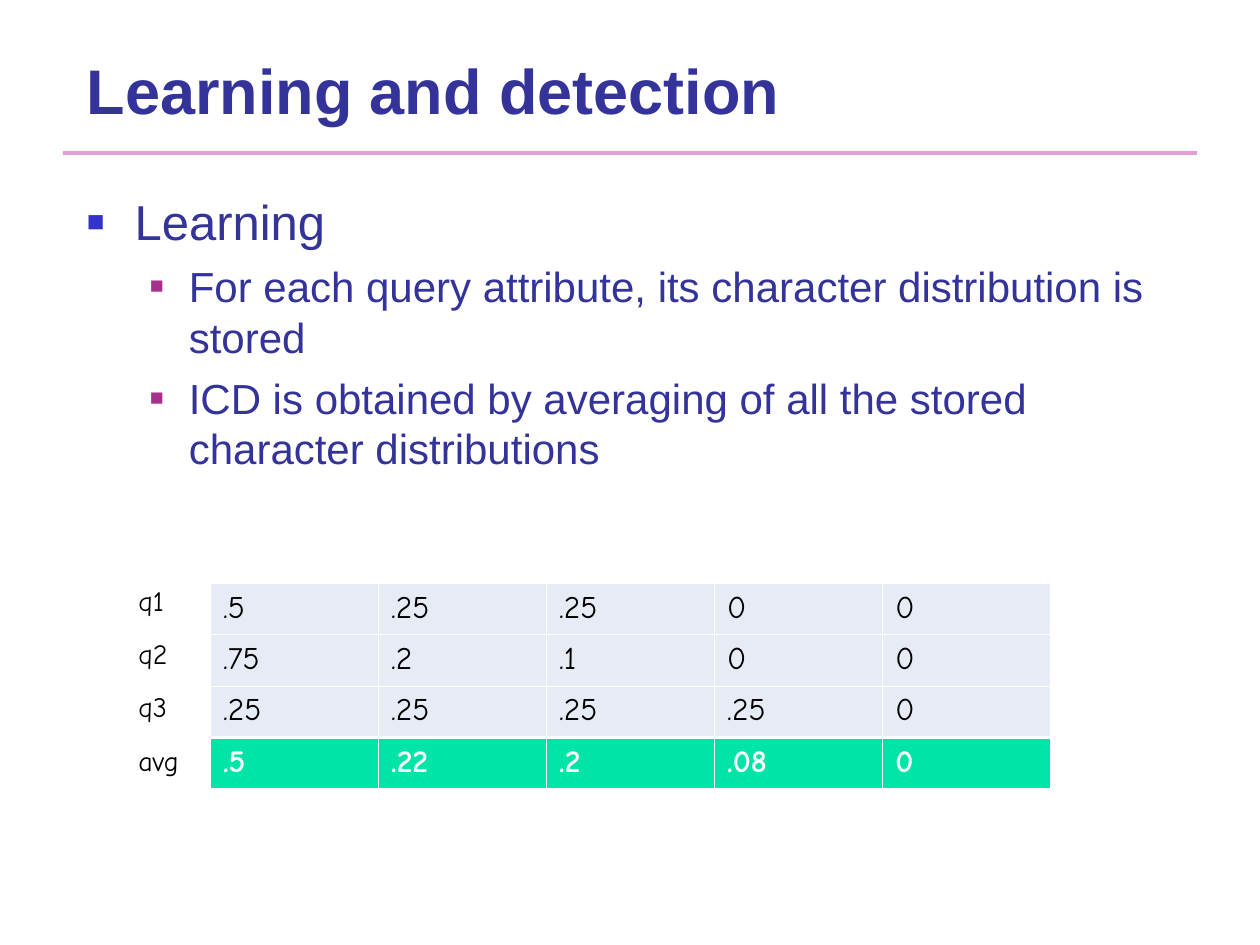
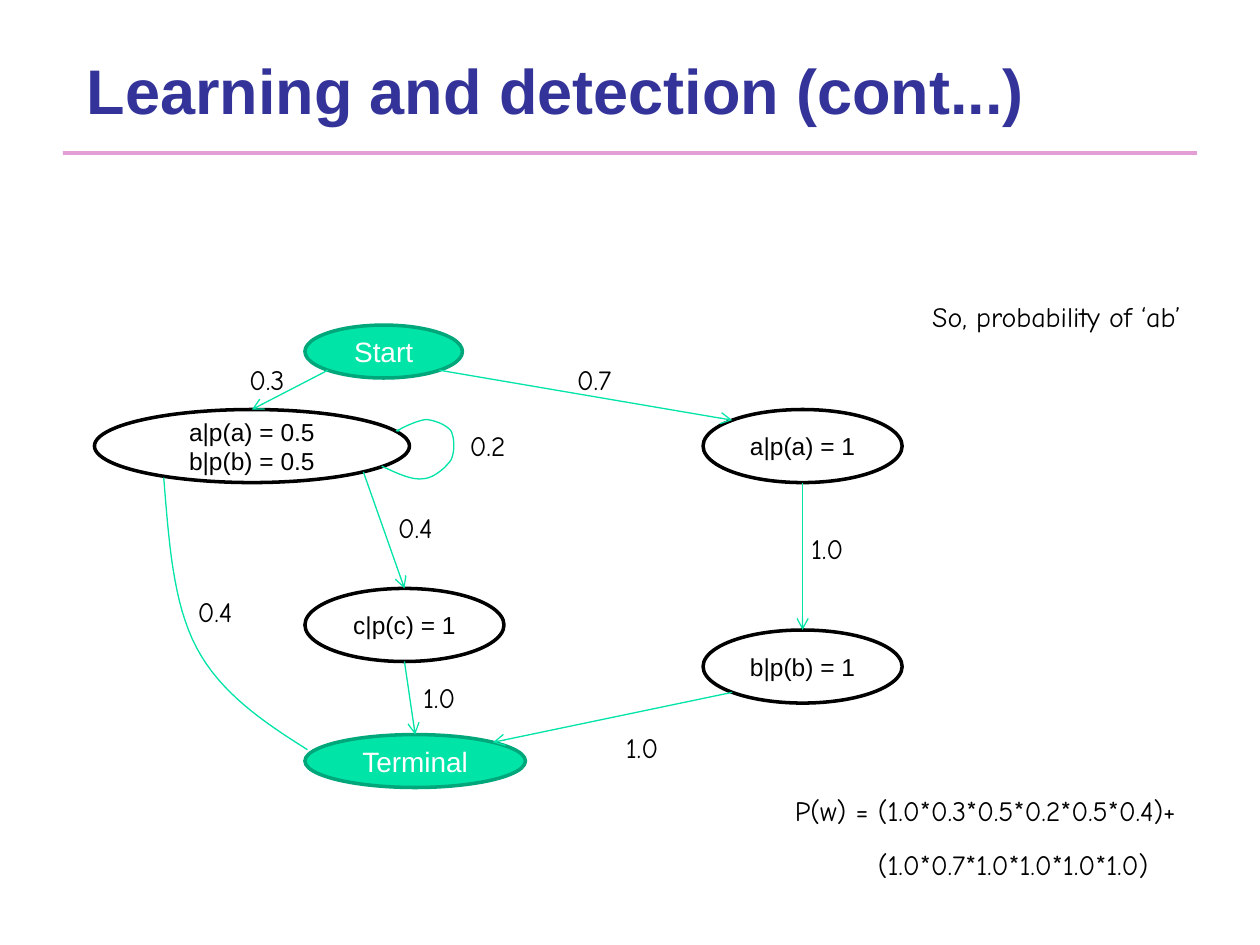
import math

from lxml import etree
from pptx import Presentation
from pptx.dml.color import RGBColor
from pptx.enum import shapes, text
from pptx.oxml.ns import qn
from pptx.util import Inches, Pt

NAVY = RGBColor(0x33, 0x33, 0x99)
BLUE = RGBColor(0x33, 0x33, 0xCC)
PURPLE = RGBColor(0xA7, 0x2F, 0x8D)
PINK = RGBColor(0xDD, 0x87, 0xCB)
GREEN = RGBColor(0x00, 0xE4, 0xA8)
DARK_GREEN = RGBColor(0x00, 0xA7, 0x7A)
PALE = RGBColor(0xE7, 0xEB, 0xF5)
BLACK = RGBColor(0, 0, 0)
WHITE = RGBColor(0xFF, 0xFF, 0xFF)
SANS, HAND = "Arial", "Comic Neue"

TITLES = ["Learning and detection", "Learning and detection (cont...)"]

BULLETS = [  # level, text
    (0, "Learning"),
    (1, "For each query attribute, its character distribution is stored"),
    (1, "ICD is obtained by averaging of all the stored character distributions"),
]
# size, left margin, hanging indent, bullet colour, bullet size in percent
LEVELS = [(28, 0.38, 0.38, BLUE, 60), (24, 0.81, 0.31, PURPLE, 55)]

DISTRIBUTIONS = [
    ("q1", [".5", ".25", ".25", "0", "0"]),
    ("q2", [".75", ".2", ".1", "0", "0"]),
    ("q3", [".25", ".25", ".25", ".25", "0"]),
    ("avg", [".5", ".22", ".2", ".08", "0"]),
]

NODES = {  # box (left, top, width, height), lines of text, is an end state
    "start": ((2.42, 2.58, 1.25, 0.42), ["Start"], True),
    "terminal": ((2.42, 5.83, 1.75, 0.42), ["Terminal"], True),
    "ab": ((0.75, 3.25, 2.5, 0.58), ["a|p(a) = 0.5", "b|p(b) = 0.5"], False),
    "a": ((5.58, 3.25, 1.58, 0.58), ["a|p(a) = 1"], False),
    "c": ((2.42, 4.67, 1.58, 0.58), ["c|p(c) = 1"], False),
    "b": ((5.58, 5, 1.58, 0.58), ["b|p(b) = 1"], False),
}
# clockwise angle from the right, in degrees
SITES = {"lower right": 45, "bottom": 90, "lower left": 135,
         "upper left": 225, "top": 270, "upper right": 315}
EDGES = [
    ("start", "lower left", "ab", "top"),
    ("start", "lower right", "a", "upper left"),
    ("a", "bottom", "b", "top"),
    ("b", "lower left", "terminal", "upper right"),
    ("ab", "lower right", "c", "top"),
    ("c", "bottom", "terminal", "top"),
]
CURVES = [  # start point, then two control points and an end point per segment
    [(1.3, 3.79), (1.34, 4.28), (1.37, 4.78), (1.56, 5.14),
     (1.75, 5.5), (2.09, 5.73), (2.44, 5.95)],
    [(3.03, 3.7), (3.14, 3.75), (3.26, 3.81), (3.35, 3.8),
     (3.44, 3.8), (3.54, 3.71), (3.58, 3.65), (3.61, 3.59), (3.61, 3.48),
     (3.58, 3.42), (3.54, 3.37), (3.46, 3.34), (3.39, 3.33),
     (3.33, 3.33), (3.2, 3.39), (3.17, 3.41),
     (3.13, 3.42), (3.15, 3.42), (3.17, 3.42)],
]
NOTES = [  # text, left, top, width
    ("1.0", 4.87, 5.75, 0.6),
    ("1.0", 6.34, 4.17, 0.6),
    ("1.0", 3.26, 5.35, 0.6),
    ("0.4", 1.47, 4.67, 0.6),
    ("0.4", 3.06, 4, 0.6),
    ("0.7", 4.48, 2.83, 0.6),
    ("0.3", 1.88, 2.83, 0.6),
    ("0.2", 3.63, 3.35, 0.6),
    ("So, probability of ‘ab’", 7.3, 2.33, 2.3),
    ("P(w) = (1.0*0.3*0.5*0.2*0.5*0.4)+", 6.21, 6.25, 3.4),
    ("(1.0*0.7*1.0*1.0*1.0*1.0)", 6.87, 6.68, 2.5),
]


def write(p, words, size=16, font=HAND, color=BLACK, bold=False, align=None):
    r = p.add_run()
    r.text = words
    r.font.size, r.font.name, r.font.bold = Pt(size), font, bold
    r.font.color.rgb = color
    if align is not None:
        p.alignment = align


def add_box(s, left, top, width, height):
    sp = s.shapes.add_textbox(*map(Inches, (left, top, width, height)))
    sp.text_frame.word_wrap = True
    return sp.text_frame


def add_note(s, words, left, top, width):
    tf = add_box(s, left, top, width, 0.37)
    write(tf.paragraphs[0], words)


def add_titled_slide(prs, title):
    s = prs.slides.add_slide(prs.slide_layouts[6])
    rule = s.shapes.add_shape(shapes.MSO_SHAPE.RECTANGLE,
                              *map(Inches, (0.5, 1.2, 9, 0.03)))
    rule.shadow.inherit = False
    rule.fill.solid()
    rule.fill.fore_color.rgb = PINK
    rule.line.fill.background()
    color = rule.fill._xPr.find(".//" + qn("a:srgbClr"))
    etree.SubElement(color, qn("a:alpha"), val="80000")
    tf = add_box(s, 0.59, -0.19, 8.52, 1.25)
    tf.vertical_anchor = text.MSO_ANCHOR.BOTTOM
    write(tf.paragraphs[0], title, size=36, font=SANS, color=NAVY, bold=True)
    return s


def add_bullets(s):
    tf = add_box(s, 0.59, 1.47, 8.82, 5.24)
    for i, (level, words) in enumerate(BULLETS):
        size, margin, hang, color, percent = LEVELS[level]
        p = tf.paragraphs[0] if i == 0 else tf.add_paragraph()
        if i:
            p.space_before = Pt(6)
        p.level = level
        pPr = p._p.get_or_add_pPr()
        pPr.set("marL", str(Inches(margin)))
        pPr.set("indent", str(-Inches(hang)))
        bu_color = etree.SubElement(pPr, qn("a:buClr"))
        etree.SubElement(bu_color, qn("a:srgbClr"), val=str(color))
        etree.SubElement(pPr, qn("a:buSzPct"), val=str(percent * 1000))
        etree.SubElement(pPr, qn("a:buFont"), typeface=SANS)
        etree.SubElement(pPr, qn("a:buChar"), char="■")
        write(p, words, size=size, font=SANS, color=NAVY)


def set_borders(cell, **widths):
    """Draw white borders; widths are points by side (L, R, T, B)."""
    tcPr = cell._tc.get_or_add_tcPr()
    for i, side in enumerate("LRTB"):
        ln = etree.Element(qn("a:ln" + side), w=str(Pt(widths.get(side, 0.45))))
        fill = etree.SubElement(ln, qn("a:solidFill"))
        etree.SubElement(fill, qn("a:srgbClr"), val=str(WHITE))
        tcPr.insert(i, ln)


def add_distributions(s):
    last = len(DISTRIBUTIONS) - 1
    columns = len(DISTRIBUTIONS[0][1])
    table = s.shapes.add_table(last + 1, columns, *map(
        Inches, (1.67, 4.63, 6.67, 1.63))).table
    table.first_row = table.horz_banding = False
    for i, (name, values) in enumerate(DISTRIBUTIONS):
        is_avg = i == last
        for j, value in enumerate(values):
            cell = table.cell(i, j)
            cell.fill.solid()
            cell.fill.fore_color.rgb = GREEN if is_avg else PALE
            set_borders(cell, T=1.47 if is_avg else 0.45,
                        B=1.47 if i == last - 1 else 0.45)
            write(cell.text_frame.paragraphs[0], value, size=18,
                  color=WHITE if is_avg else BLACK, bold=is_avg)
        add_note(s, name, 1, 4.58 + 1.27 * i / last, 0.6)


def add_node(s, box, lines, is_end):
    sp = s.shapes.add_shape(shapes.MSO_SHAPE.OVAL, *map(Inches, box))
    sp.shadow.inherit = False
    sp.fill.solid()
    sp.fill.fore_color.rgb = GREEN if is_end else WHITE
    sp.line.color.rgb = DARK_GREEN if is_end else BLACK
    sp.line.width = Pt(2)
    tf = sp.text_frame
    tf.word_wrap = True
    tf.vertical_anchor = text.MSO_ANCHOR.MIDDLE
    for i, words in enumerate(lines):
        p = tf.paragraphs[0] if i == 0 else tf.add_paragraph()
        write(p, words, size=16 if is_end else 14, font=SANS,
              color=WHITE if is_end else BLACK, align=text.PP_ALIGN.CENTER)


def site_point(node, site):
    """Point on the outline of a node's ellipse."""
    left, top, width, height = NODES[node][0]
    angle = math.radians(SITES[site])
    return (Inches(left + width / 2 * (1 + math.cos(angle))),
            Inches(top + height / 2 * (1 + math.sin(angle))))


def style_line(sp):
    sp.line.color.rgb = GREEN
    sp.line.width = Pt(0.75)


def add_edge(s, source, source_site, target, target_site):
    cn = s.shapes.add_connector(shapes.MSO_CONNECTOR.STRAIGHT,
                                *site_point(source, source_site),
                                *site_point(target, target_site))
    style_line(cn)
    etree.SubElement(cn.line._get_or_add_ln(), qn("a:tailEnd"), type="arrow")
    etree.SubElement(cn._element.spPr, qn("a:effectLst"))


def bezier(p0, p1, p2, p3, steps=16):
    for k in range(1, steps + 1):
        t = k / steps
        weights = ((1 - t) ** 3, 3 * t * (1 - t) ** 2, 3 * t * t * (1 - t), t ** 3)
        yield tuple(sum(w * p[axis] for w, p in zip(weights, (p0, p1, p2, p3)))
                    for axis in (0, 1))


def add_curve(s, points):
    points = [tuple(map(Inches, point)) for point in points]
    builder = s.shapes.build_freeform(*points[0])
    for i in range(0, len(points) - 1, 3):
        builder.add_line_segments(bezier(*points[i:i + 4]), close=False)
    sp = builder.convert_to_shape()
    sp.shadow.inherit = False
    sp.fill.background()
    style_line(sp)


def main():
    prs = Presentation()
    prs.slide_width, prs.slide_height = Inches(10), Inches(7.5)
    learning, automaton = [add_titled_slide(prs, title) for title in TITLES]

    add_bullets(learning)
    add_distributions(learning)

    for node in NODES.values():
        add_node(automaton, *node)
    for edge in EDGES:
        add_edge(automaton, *edge)
    for points in CURVES:
        add_curve(automaton, points)
    for note in NOTES:
        add_note(automaton, *note)
    prs.save("out.pptx")


if __name__ == "__main__":
    main()
